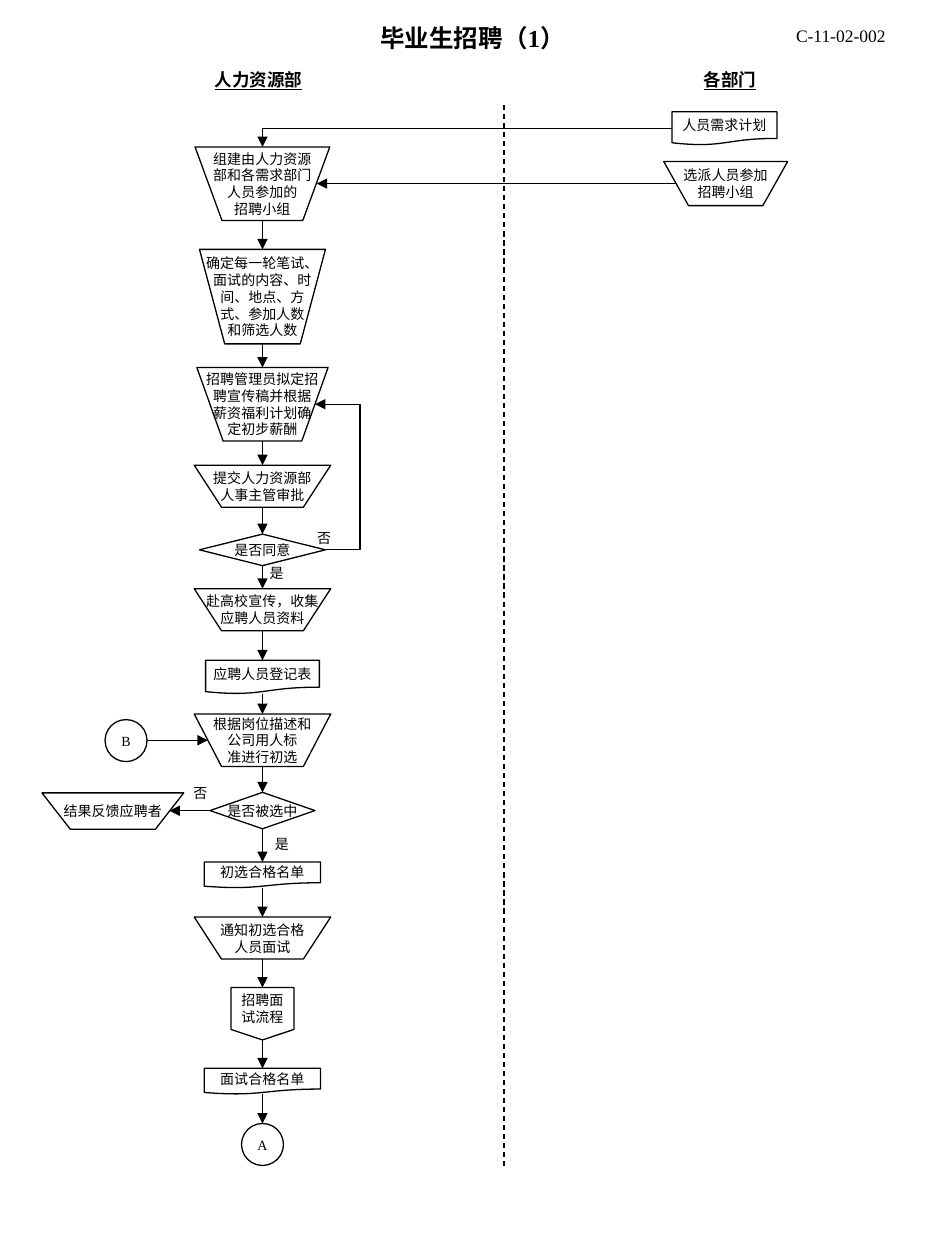
from lxml.etree import SubElement
from pptx import Presentation
from pptx.dml.color import RGBColor
from pptx.enum.dml import MSO_LINE
from pptx.enum.shapes import MSO_CONNECTOR, MSO_SHAPE
from pptx.enum.text import MSO_ANCHOR, MSO_AUTO_SIZE, PP_ALIGN
from pptx.oxml.ns import qn
from pptx.util import Pt

COLORS = {"ink": "000000", "paper": "FFFFFF"}
FONT = "Times New Roman"
TOP, LEFT, BOTTOM, RIGHT = range(4)

OPERATION = MSO_SHAPE.FLOWCHART_MANUAL_OPERATION
DOCUMENT = MSO_SHAPE.FLOWCHART_DOCUMENT
DECISION = MSO_SHAPE.FLOWCHART_DECISION
CIRCLE = MSO_SHAPE.FLOWCHART_CONNECTOR
OFFPAGE = MSO_SHAPE.FLOWCHART_OFFPAGE_CONNECTOR

TITLE = "毕业生招聘（1）"
MAIN_CENTER = 150
# Main flow, each step joined to the next: kind, top, width, height, lines
STEPS = [
    (OPERATION, 84, 77, 42, ["组建由人力资源", "部和各需求部门", "人员参加的", "招聘小组"]),
    (OPERATION, 142.5, 72, 54,
     ["确定每一轮笔试、", "面试的内容、时", "间、地点、方", "式、参加人数", "和筛选人数"]),
    (OPERATION, 210, 75, 42,
     ["招聘管理员拟定招", "聘宣传稿并根据", "薪资福利计划确", "定初步薪酬"]),
    (OPERATION, 265.8, 78, 24, ["提交人力资源部", "人事主管审批"]),
    (DECISION, 305.2, 72, 18, ["是否同意"]),
    (OPERATION, 336.4, 78, 24, ["赴高校宣传，收集", "应聘人员资料"]),
    (DOCUMENT, 377.3, 65, 19.2, ["应聘人员登记表"]),
    (OPERATION, 408, 78, 30, ["根据岗位描述和", "公司用人标", "准进行初选"]),
    (DECISION, 452.8, 60, 20.8, ["是否被选中"]),
    (DOCUMENT, 492.6, 66.4, 14.8, ["初选合格名单"]),
    (OPERATION, 524, 78, 24, ["通知初选合格", "人员面试"]),
    (OFFPAGE, 564.3, 36, 30, ["招聘面", "试流程"]),
    (DOCUMENT, 610.5, 66.4, 14.8, ["面试合格名单"]),
    (CIRCLE, 642, 24, 24, ["A"]),
]
# Side shapes: kind, center, top, width, height, lines
SIDE_SHAPES = [
    (DOCUMENT, 414, 63.9, 60, 19, ["人员需求计划"]),
    (OPERATION, 414.7, 92.3, 70.8, 25.2, ["选派人员参加", "招聘小组"]),
    (CIRCLE, 72, 411.2, 24, 24, ["B"]),
    (OPERATION, 64.5, 453.1, 81, 20.8, ["结果反馈应聘者"]),
]
# Labels: text, left, top, width, height, size, is heading
LABELS = [
    ("人力资源部", 115.7, 36, 64.4, 19.4, 10, True),
    ("各部门", 395, 36, 44.4, 19.4, 10, True),
    ("C-11-02-002", 447.8, 10.9, 65.8, 19.4, 10, False),
    ("否", 174.1, 299.3, 22.4, 17, 8, False),
    ("是", 147, 318.8, 22.4, 17, 8, False),
    ("否", 103.4, 444.7, 22.4, 17, 8, False),
    ("是", 150, 473.9, 22.4, 17, 8, False),
]
SIDE_ARROWS = [
    ((386.4, 104.9), (181, 104.9)),
    ((84, 423), (118.8, 423)),
    ((120, 463.3), (96.8, 463.3)),
]


def color(name):
    return RGBColor.from_string(COLORS[name])


def write(shape, lines, size, align=PP_ALIGN.CENTER, bold=False, underline=False):
    frame = shape.text_frame
    frame.word_wrap = False
    frame.margin_left = frame.margin_right = Pt(7.2)
    frame.margin_top = frame.margin_bottom = Pt(3.6)
    frame.text = "\n".join(lines)
    for paragraph in frame.paragraphs:
        paragraph.alignment = align
        font = paragraph.font
        font.name, font.size = FONT, Pt(size)
        font.bold, font.underline = bold, underline
        font.color.rgb = color("ink")


def add_node(slide, kind, center, top, width, height, lines):
    shape = slide.shapes.add_shape(
        kind, Pt(center - width / 2), Pt(top), Pt(width), Pt(height))
    shape.shadow.inherit = False
    shape.fill.solid()
    shape.fill.fore_color.rgb = color("paper")
    shape.line.color.rgb = color("ink")
    shape.line.width = Pt(0.75)
    write(shape, lines, 8)
    shape.text_frame.vertical_anchor = MSO_ANCHOR.MIDDLE
    return shape


def add_line(slide, start, end, kind=MSO_CONNECTOR.STRAIGHT, arrow=True):
    connector = slide.shapes.add_connector(kind, *(Pt(value) for value in start + end))
    connector.line.color.rgb = color("ink")
    connector.line.width = Pt(0.75)
    properties = connector._element.spPr
    SubElement(properties, qn("a:effectLst"))
    if arrow:
        SubElement(properties.find(qn("a:ln")), qn("a:tailEnd"), type="triangle")
    return connector


def add_elbow(slide, start, end, bend_x=None):
    """Bend once above the end, or twice along the vertical at bend_x."""
    connector = add_line(slide, start, end, MSO_CONNECTOR.ELBOW)
    geometry = connector._element.spPr.find(qn("a:prstGeom"))
    if bend_x is None:
        geometry.set("prst", "bentConnector2")
    else:
        share = round((bend_x - start[0]) / (end[0] - start[0]) * 100000)
        SubElement(geometry.find(qn("a:avLst")), qn("a:gd"),
                   name="adj1", fmla=f"val {share}")
    return connector


def main():
    presentation = Presentation()
    presentation.slide_width, presentation.slide_height = Pt(540), Pt(720)
    slide = presentation.slides.add_slide(presentation.slide_layouts[5])

    title = slide.shapes.title
    title.left, title.top, title.width, title.height = Pt(0), Pt(9.4), Pt(540), Pt(24.5)
    write(title, [TITLE], 14, bold=True)
    title.text_frame.word_wrap = True
    title.text_frame.auto_size = MSO_AUTO_SIZE.NONE
    title.text_frame.vertical_anchor = MSO_ANCHOR.TOP

    divider = add_line(slide, (288, 60), (288, 666), arrow=False)
    divider.line.dash_style = MSO_LINE.DASH

    steps = [add_node(slide, kind, MAIN_CENTER, *rest) for kind, *rest in STEPS]
    for upper, lower in zip(steps, steps[1:]):
        arrow = add_line(slide, (MAIN_CENTER, 0), (MAIN_CENTER, 0))
        arrow.begin_connect(upper, BOTTOM)
        arrow.end_connect(lower, TOP)

    for side_shape in SIDE_SHAPES:
        add_node(slide, *side_shape)
    for start, end in SIDE_ARROWS:
        add_line(slide, start, end)
    add_elbow(slide, (384, 73.4), (MAIN_CENTER, 84))
    add_elbow(slide, (186, 314.2), (180, 231), bend_x=205.8)

    for text, left, top, width, height, size, heading in LABELS:
        label = slide.shapes.add_textbox(Pt(left), Pt(top), Pt(width), Pt(height))
        write(label, [text], size, PP_ALIGN.LEFT, bold=heading, underline=heading)

    presentation.save("out.pptx")


if __name__ == "__main__":
    main()
